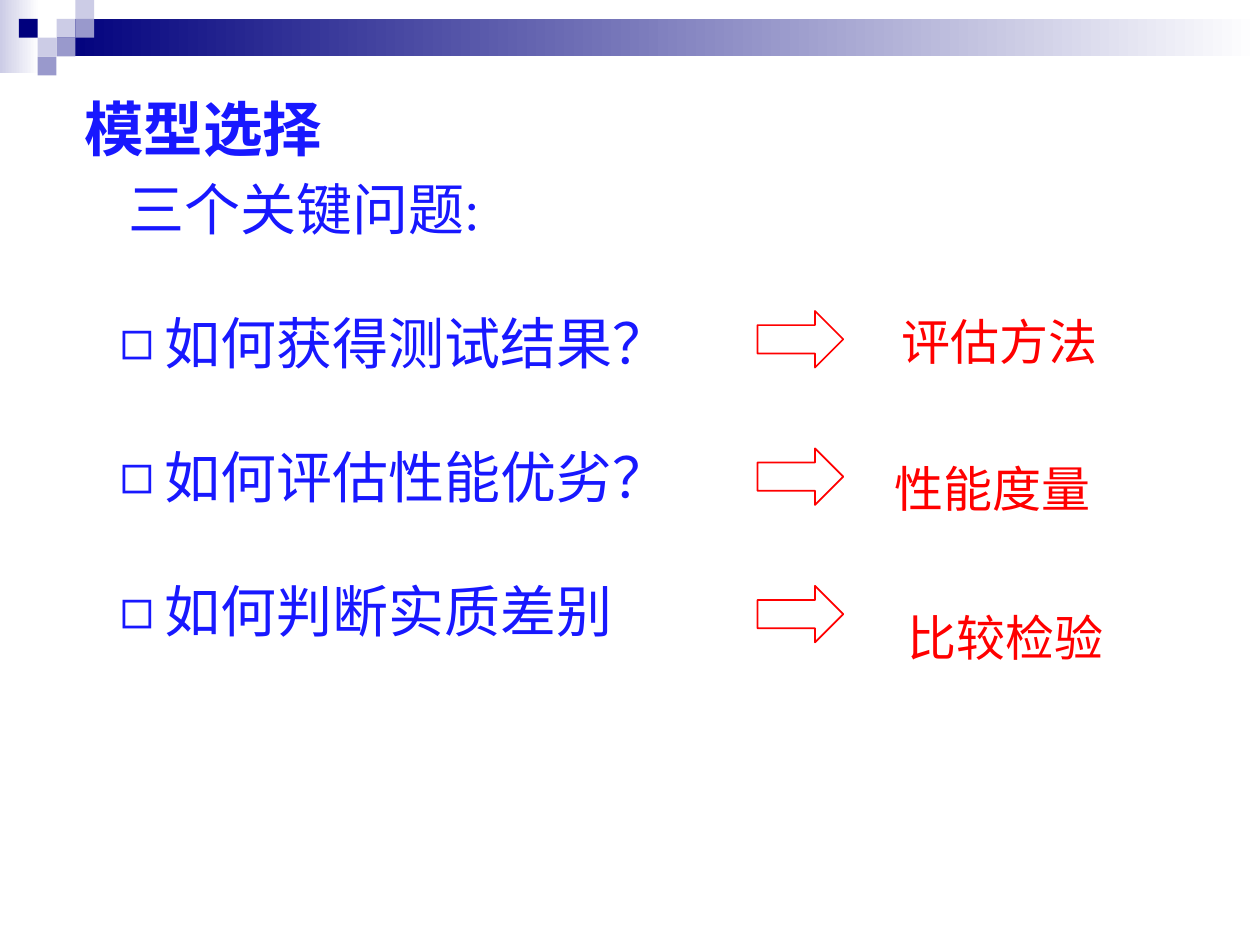
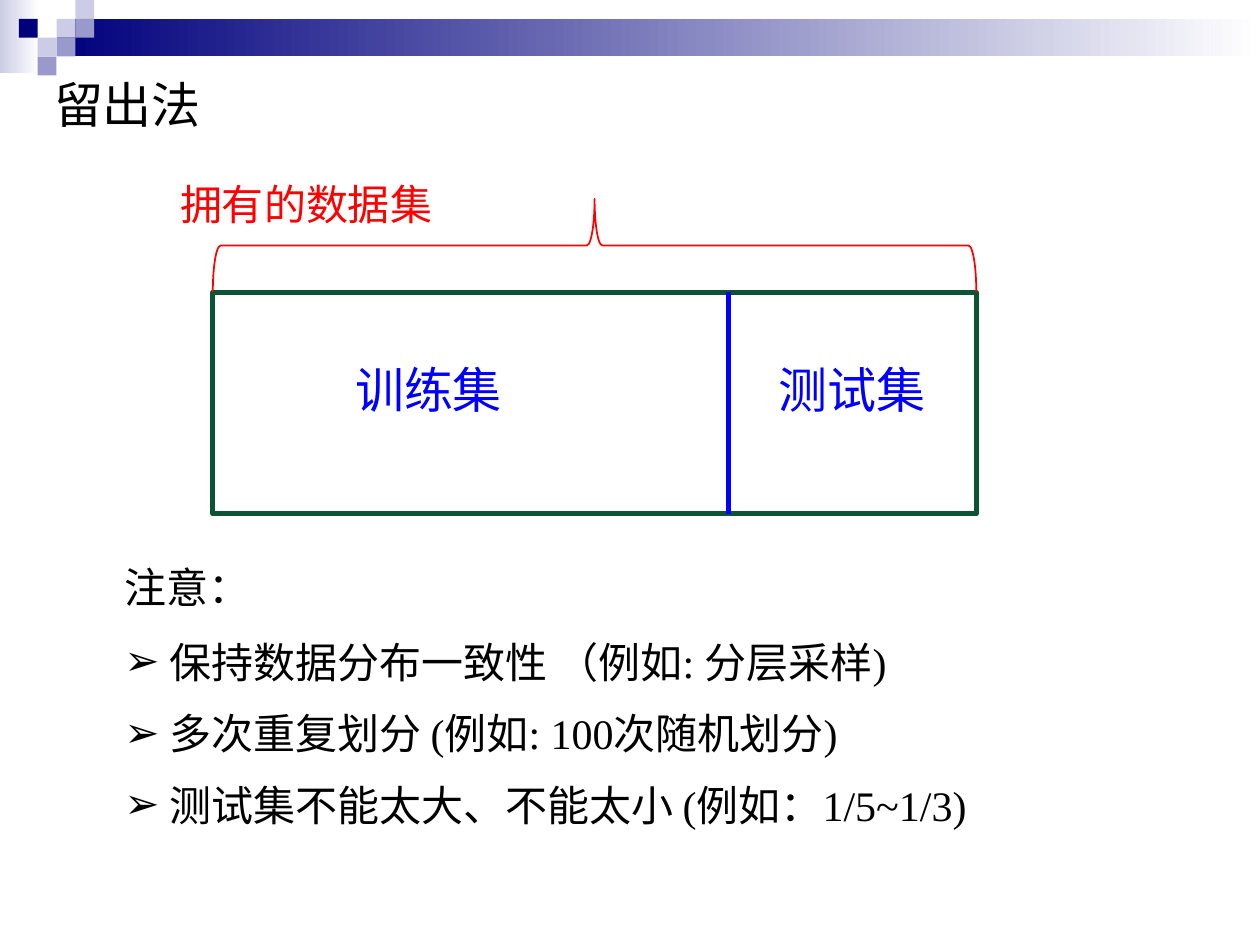
from itertools import cycle

from lxml import etree
from pptx import Presentation
from pptx.dml import color
from pptx.enum import shapes, text
from pptx.oxml import ns
from pptx.util import Cm, Pt

CJK, LATIN, BULLET_FONT = "Noto Sans CJK SC", "Times New Roman", "Arial"
NAVY, MID, PALE, WHITE = "00007D", "9999CC", "CCCCE6", "FFFFFF"
INK, BLUE, RED, GREEN, BLACK = "1818FF", "0000FF", "FF0000", "0D5436", "000000"


def rgb(value):
    return color.RGBColor.from_string(value)


def sub(parent, tag, **attributes):
    return etree.SubElement(parent, ns.qn(tag), attributes)


def write(frame, *runs, size=28, ink=BLACK, bold=False, spacing=None,
          before=0, bullet=None, new=False):
    """Write one paragraph whose runs alternate between CJK and Latin fonts."""
    paragraph = frame.add_paragraph() if new else frame.paragraphs[0]
    paragraph.alignment = text.PP_ALIGN.LEFT
    paragraph.space_before = Pt(before)
    if spacing:
        paragraph.line_spacing = Pt(spacing)
    if bullet:
        properties = paragraph._p.get_or_add_pPr()
        indent = Cm(0.9)
        properties.set("marL", str(indent))
        properties.set("indent", str(-indent))
        sub(properties, "a:buFont", typeface=BULLET_FONT)
        sub(properties, "a:buChar", char=bullet)
    for words, face in zip(runs, cycle((CJK, LATIN))):
        run = paragraph.add_run()
        run.text = words
        run.font.name, run.font.size, run.font.bold = face, Pt(size), bold
        run.font.color.rgb = rgb(ink)
        sub(run._r.get_or_add_rPr(), "a:ea", typeface=CJK)


def plain(frame, wrap=False):
    frame.margin_left = frame.margin_right = 0
    frame.margin_top = frame.margin_bottom = 0
    frame.vertical_anchor = text.MSO_ANCHOR.TOP
    frame.auto_size = text.MSO_AUTO_SIZE.NONE
    frame.word_wrap = wrap
    return frame


def text_area(slide, box):
    return plain(slide.shapes.add_textbox(*map(Cm, box)).text_frame)


def set_title(slide, box, words, **style):
    title = slide.shapes.title
    title.left, title.top, title.width, title.height = map(Cm, box)
    write(plain(title.text_frame, wrap=True), words, spacing=26.9, **style)


def add_preset(slide, kind, box, fill=None, line=None, weight=1):
    """Add a preset shape; a pair of fill colours makes a gradient to the right."""
    shape = slide.shapes.add_shape(kind, *map(Cm, box))
    shape.shadow.inherit = False
    if isinstance(fill, tuple):
        shape.fill.gradient()
        shape.fill.gradient_angle = 0
        for stop, value in zip(shape.fill.gradient_stops, fill):
            stop.color.rgb = rgb(value)
    elif fill:
        shape.fill.solid()
        shape.fill.fore_color.rgb = rgb(fill)
    else:
        shape.fill.background()
    if line:
        shape.line.color.rgb = rgb(line)
        shape.line.width = Pt(weight)
    else:
        shape.line.fill.background()
    return shape


def header_band(slide, layout):
    """Draw the mosaic band and move it to the layout all slides share."""
    rectangle = shapes.MSO_SHAPE.RECTANGLE
    cell = 0.38
    band = [
        add_preset(slide, rectangle, (0, 0, 0.79, 1.47), (PALE, WHITE)),
        add_preset(slide, rectangle, (3 * cell, cell, 25.4 - 3 * cell, 2 * cell), (NAVY, WHITE)),
    ]
    mosaic = [(3, 1, PALE), (4, 0, PALE), (4, 1, MID), (2, 2, PALE),
              (1, 1, NAVY), (3, 2, MID), (2, 3, MID)]
    for column, row, fill in mosaic:
        band.append(add_preset(slide, rectangle, (column * cell, row * cell, cell, cell), fill))
    for number, shape in enumerate(band, start=100):
        shape._element.nvSpPr.cNvPr.set("id", str(number))
        layout.shapes.element.append(shape._element)


def questions(slide, box):
    frame = text_area(slide, box)
    lines = ["如何获得测试结果？", "如何评估性能优劣？", "如何判断实质差别"]
    for index, question in enumerate(lines):
        write(frame, question, size=32, ink=INK, bullet="◻", new=index > 0,
              spacing=36.8 if index else 35.4, before=40 if index else 0)


def answers(slide, box):
    """Place an arrow and its answer for each question."""
    left, top, width, height = box
    arrow_step = 2.77
    labels = [("评估方法", 2.9, 0.25, 26.9), ("性能度量", 2.77, 2.97, None),
              ("比较检验", 3.02, 6.15, 28.8)]
    for index, (answer, across, down, spacing) in enumerate(labels):
        add_preset(slide, shapes.MSO_SHAPE.RIGHT_ARROW,
                   (left, top + index * arrow_step, 1.73, 1.14), line=RED)
        frame = text_area(slide, (left + across, top + down, width - across, 1.1))
        write(frame, answer, ink=RED, spacing=spacing)


def data_split(slide, box):
    """Draw the data set, braced as a whole and split in two."""
    left, top, width, height = box
    add_preset(slide, shapes.MSO_SHAPE.RECTANGLE, box, line=GREEN, weight=3)

    border = left + 10.39
    divider = slide.shapes.add_connector(
        shapes.MSO_CONNECTOR.STRAIGHT, *map(Cm, (border, top, border, top + height)))
    divider.line.color.rgb = rgb(BLUE)
    divider.line.width = Pt(3)
    sub(divider._element.spPr, "a:effectLst")

    depth = 1.88
    brace = add_preset(
        slide, shapes.MSO_SHAPE.LEFT_BRACE,
        (left + (width - depth) / 2, top - (depth + width) / 2, depth, width), line=RED)
    brace.rotation = 90

    for subset, across in (("训练集", 2.87), ("测试集", 11.4)):
        frame = text_area(slide, (left + across, top + 1.6, 2.97, 0.97))
        write(frame, subset, ink=BLUE, spacing=26.9)
    frame = text_area(slide, (left - 0.66, top - 2.16, 5.1, 0.88))
    write(frame, "拥有的数据集", size=24, ink=RED, spacing=24.9)


def notes_list(slide, box):
    frame = text_area(slide, box)
    write(frame, "注意：", size=24, spacing=23.1)
    notes = [
        ("保持数据分布一致性 （例如", ": ", "分层采样", ")"),
        ("多次重复划分 ", "(", "例如", ": 100", "次随机划分", ")"),
        ("测试集不能太大、不能太小 ", "(", "例如：", "1/5~1/3)"),
    ]
    for index, note in enumerate(notes):
        write(frame, *note, size=24, bullet="➢", before=10, new=True,
              spacing=30.8 if index else 32.4)


def model_selection(slide):
    set_title(slide, (1.7, 2.34, 6.22, 0.97), "模型选择", size=34, ink=INK, bold=True)
    write(text_area(slide, (2.59, 3.5, 7.11, 1.37)), "三个关键问题", ":",
          size=32, ink=INK, spacing=38.9)
    questions(slide, (2.41, 6.32, 12.34, 6.73))
    answers(slide, (15.27, 6.27, 7.8, 7.2))


def hold_out(slide):
    set_title(slide, (1.09, 1.73, 13.8, 0.97), "留出法")
    data_split(slide, (4.29, 5.89, 15.39, 4.47))
    notes_list(slide, (2.51, 11.53, 17.65, 5.23))


def main():
    deck = Presentation()
    deck.slide_width, deck.slide_height = Cm(25.4), Cm(19.05)
    layout = deck.slide_layouts[5]
    first, second = (deck.slides.add_slide(layout) for _ in range(2))
    header_band(first, layout)
    model_selection(first)
    hold_out(second)
    deck.save("out.pptx")


if __name__ == "__main__":
    main()
